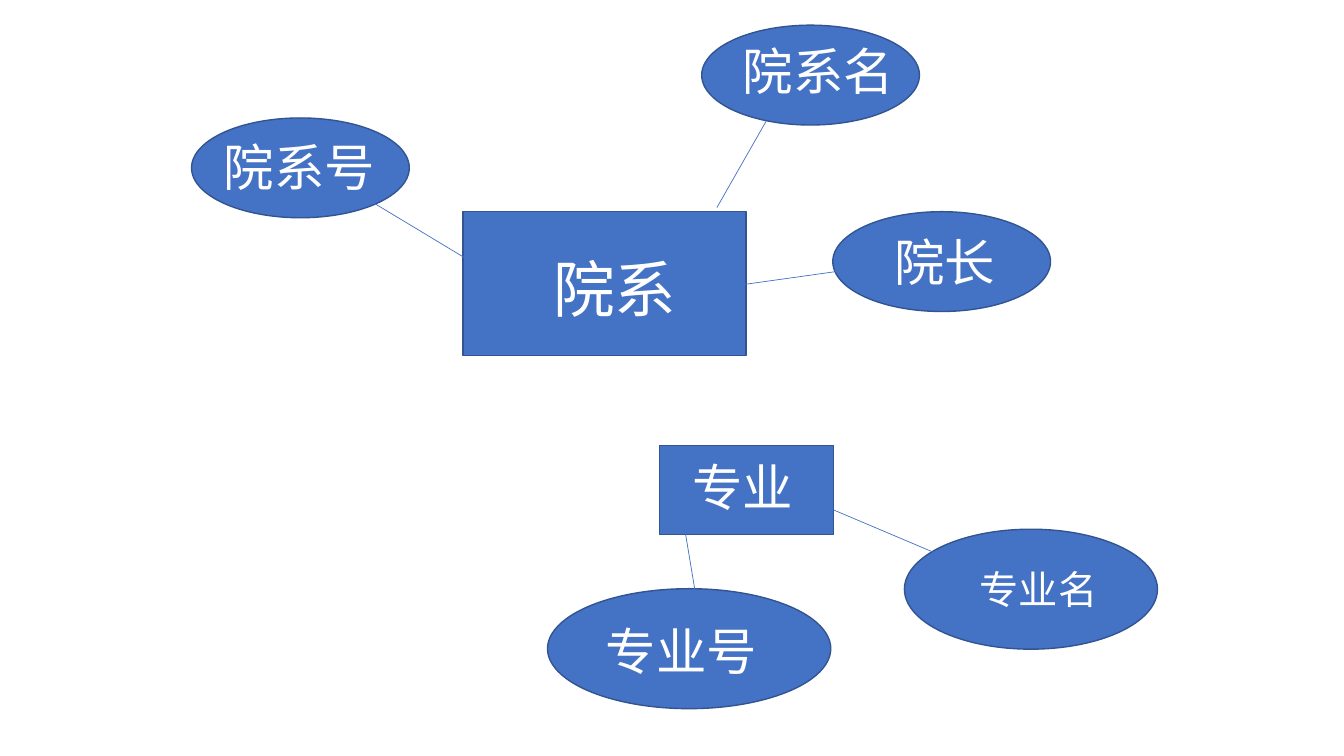
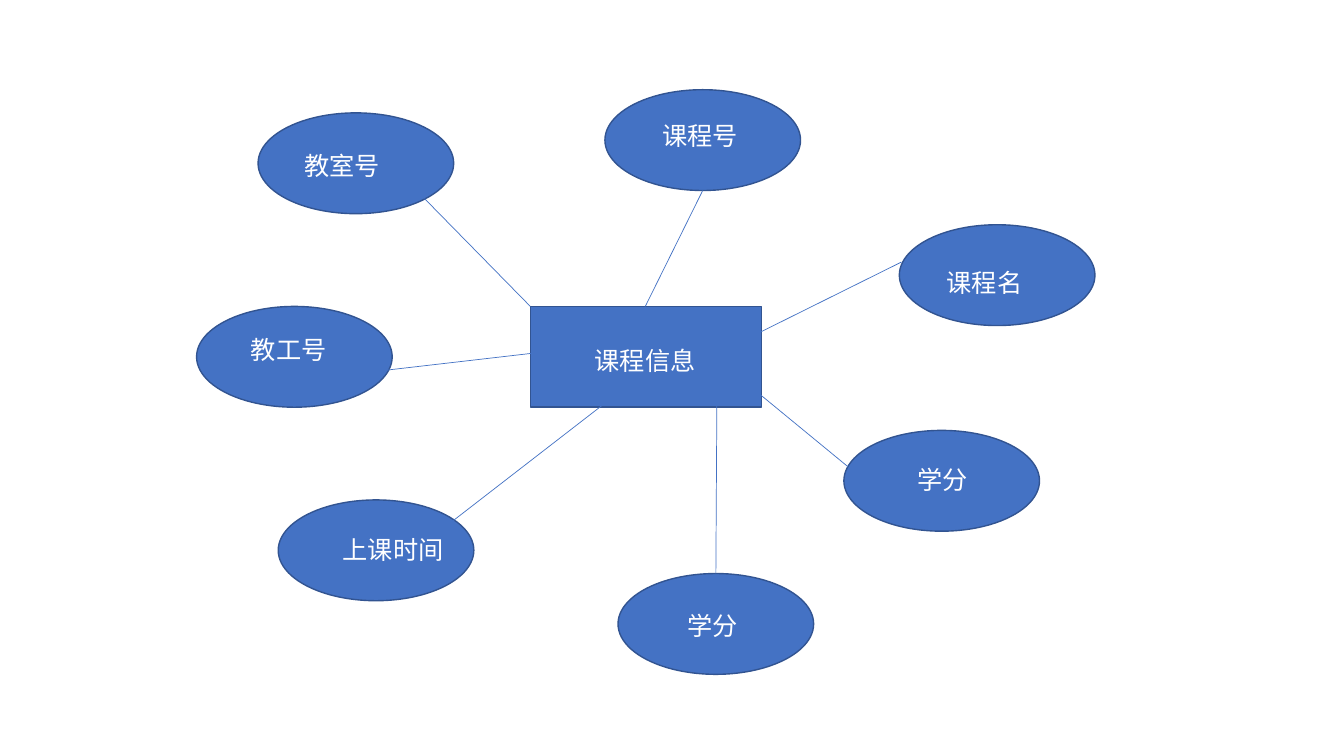
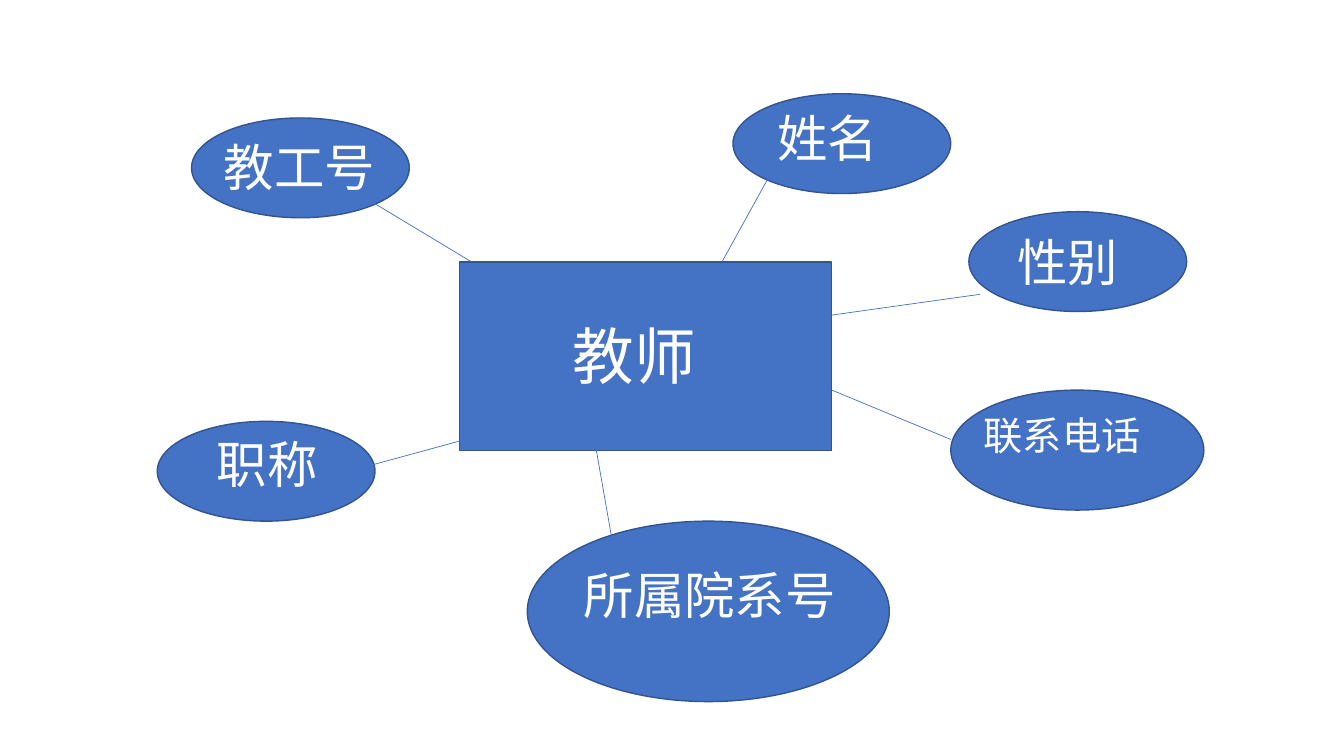
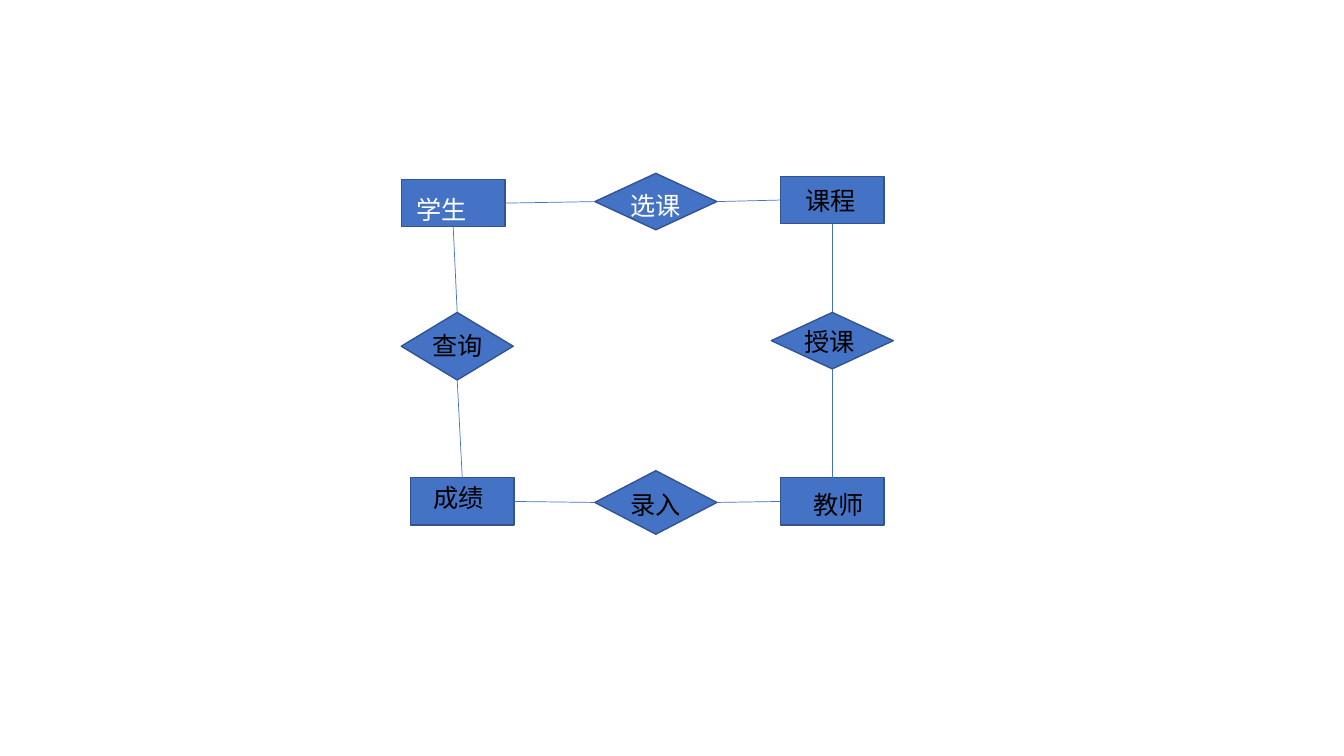
from collections import namedtuple

from lxml import etree
from pptx import Presentation
from pptx import util as u
from pptx.dml import color
from pptx.enum import shapes, text
from pptx.oxml import ns

Theme = namedtuple("Theme", "font fill edge white black rule thin huge big mid small")
look = Theme(
    "Noto Sans CJK SC",
    *(color.RGBColor.from_string(c) for c in ("4472C4", "325491", "FFFFFF", "000000")),
    rule=u.Pt(1), thin=u.Pt(0.5), huge=44, big=36, mid=28, small=18,
)

deck = Presentation()
deck.slide_width, deck.slide_height = u.Inches(13.33), u.Inches(7.5)
cell = deck.slide_height / 75
blank = deck.slide_layouts[6]
RECT = shapes.MSO_SHAPE.RECTANGLE
OVAL = shapes.MSO_SHAPE.OVAL
GEM = shapes.MSO_SHAPE.DIAMOND


def node(page, kind, spot, area, word, size, place, ink=look.white):
    form = page.shapes.add_shape(kind, *(round(n * cell) for n in spot + area))
    form.shadow.inherit = False
    form.fill.solid()
    form.fill.fore_color.rgb = look.fill
    form.line.color.rgb = look.edge
    form.line.width = look.rule
    label = page.shapes.add_textbox(*(round(n * cell) for n in place + (size * 0.17 + 1,)))
    frame = label.text_frame
    frame.word_wrap = True
    frame.auto_size = text.MSO_AUTO_SIZE.SHAPE_TO_FIT_TEXT
    para = frame.paragraphs[0]
    para.text = word
    para.font.name = look.font
    para.font.size = u.Pt(size)
    para.font.color.rgb = ink
    base = para._p.pPr.find(ns.qn("a:defRPr"))
    etree.SubElement(base, ns.qn("a:ea"), typeface=look.font)
    return form


def wire(page, ends):
    line = page.shapes.add_connector(
        shapes.MSO_CONNECTOR.STRAIGHT, *(round(n * cell) for n in ends))
    line.line.color.rgb = look.fill
    line.line.width = look.thin
    etree.SubElement(line._element.spPr, ns.qn("a:effectLst"))
    return line


oval = (21.6, 9.9)
wide = (25.1, 11.9)
disc = (19.4, 10)

charts = [
    (
        [
            (RECT, (45.9, 21), (28.1, 14.3), "院系", look.huge, (53.9, 24.4, 19.1)),
            (OVAL, (19, 11.7), oval, "院系号", look.big, (21.2, 13, 17.2)),
            (OVAL, (69.6, 2.5), oval, "院系名", look.big, (72.7, 3.5, 17.2)),
            (OVAL, (82.6, 21), oval, "院长", look.big, (87.7, 22.4, 17.2)),
            (RECT, (65.4, 44.2), (17.3, 8.8), "专业", look.big, (67.7, 44.8, 30.2)),
            (OVAL, (54.3, 58.4), (28.1, 11.9), "专业号", look.big, (59.1, 61, 30.2)),
            (OVAL, (89.7, 52.5), wide, "专业名", look.mid, (96.2, 55.6, 18.4)),
        ],
        [
            (37, 20.1, 46.8, 26), (82.7, 50.6, 94.5, 55.6), (76, 12, 71.1, 20.6),
            (67.9, 52.4, 69.3, 60.8), (71.1, 28.6, 86.8, 26.4),
        ],
    ),
    (
        [
            (RECT, (52.6, 30.4), (22.9, 10), "课程信息", look.small, (58, 33.8, 13.5)),
            (OVAL, (25.6, 11.2), disc, "教室号", look.small, (29.2, 14.4, 13.5)),
            (OVAL, (19.5, 30.4), disc, "教工号", look.small, (23.9, 32.7, 13.5)),
            (OVAL, (27.6, 49.6), disc, "上课时间", look.small, (33, 52.5, 13.5)),
            (OVAL, (61.3, 56.9), disc, "学分", look.small, (67.2, 60.1, 13.5)),
            (OVAL, (60, 8.9), disc, "课程号", look.small, (64.7, 11.4, 13.5)),
            (OVAL, (89.2, 22.3), disc, "课程名", look.small, (92.9, 26, 13.5)),
            (OVAL, (83.7, 42.7), disc, "学分", look.small, (90, 45.6, 13.5)),
        ],
        [
            (42.1, 19.7, 52.6, 30.4), (69.7, 18.9, 64, 30.4), (89.4, 26, 73.7, 33.8),
            (60, 40, 43.6, 52.7), (71.1, 40, 71, 56.9), (84.1, 46.3, 73.4, 37.5),
            (53.2, 35, 31.6, 37.5),
        ],
    ),
    (
        [
            (RECT, (45.6, 26), (36.9, 18.7), "教师", look.huge, (55.8, 31.1, 19.1)),
            (OVAL, (19, 11.7), oval, "教工号", look.big, (21.2, 13, 17.2)),
            (OVAL, (15.6, 41.8), oval, "职称", look.big, (20.5, 42.5, 17.2)),
            (OVAL, (52.3, 51.7), (35.9, 17.9), "所属院系号", look.big, (56.9, 55.5, 30.2)),
            (OVAL, (72.7, 9.3), oval, "姓名", look.big, (76.1, 10.1, 17.2)),
            (OVAL, (94.3, 38.7), wide, "联系电话", look.mid, (96.6, 40.3, 18.4)),
            (OVAL, (96.1, 21), oval, "性别", look.big, (99.9, 22.4, 17.2)),
        ],
        [
            (37, 20.1, 46.8, 26), (82.5, 38.7, 94.3, 43.6), (76.4, 17.3, 71.6, 26),
            (34.8, 46.7, 46.9, 43.4), (59.1, 44.4, 60.8, 54.1), (81.5, 31.4, 97.2, 29.2),
        ],
    ),
]

for nodes, wires in charts:
    page = deck.slides.add_slide(blank)
    for item in nodes:
        node(page, *item)
    for ends in wires:
        wire(page, ends)

page = deck.slides.add_slide(blank)
box = (10.3, 4.7)
gem = (12.1, 5.6)
ring = [
    (RECT, (39.8, 17.8), box, "学生", look.small, (40.3, 18.8, 8.9)),
    (GEM, (59, 17.2), gem, "选课", look.small, (61.5, 18.4, 9.8)),
    (RECT, (77.4, 17.5), box, "课程", look.small, (78.9, 17.9, 9.8), look.black),
    (GEM, (76.5, 31), gem, "授课", look.small, (78.8, 31.9, 8.9), look.black),
    (RECT, (77.4, 47.4), box, "教师", look.small, (79.7, 48.1, 8.9), look.black),
    (GEM, (59, 46.7), (12.1, 6.3), "录入", look.small, (61.5, 48.1, 8.9), look.black),
    (RECT, (40.7, 47.4), box, "成绩", look.small, (42, 47.4, 8.9), look.black),
    (GEM, (39.8, 31), (11.1, 6.7), "查询", look.small, (41.9, 32.3, 8.9), look.black),
]
forms = [node(page, *item) for item in ring]

top, left, low, right = range(4)
sides = [(right, left)] * 2 + [(low, top)] * 2 + [(left, right)] * 2 + [(top, low)] * 2
for head, tail, (start, stop) in zip(forms, forms[1:] + forms[:1], sides):
    line = wire(page, (0, 0, 0, 0))
    line.begin_connect(head, start)
    line.end_connect(tail, stop)

deck.save("out.pptx")
